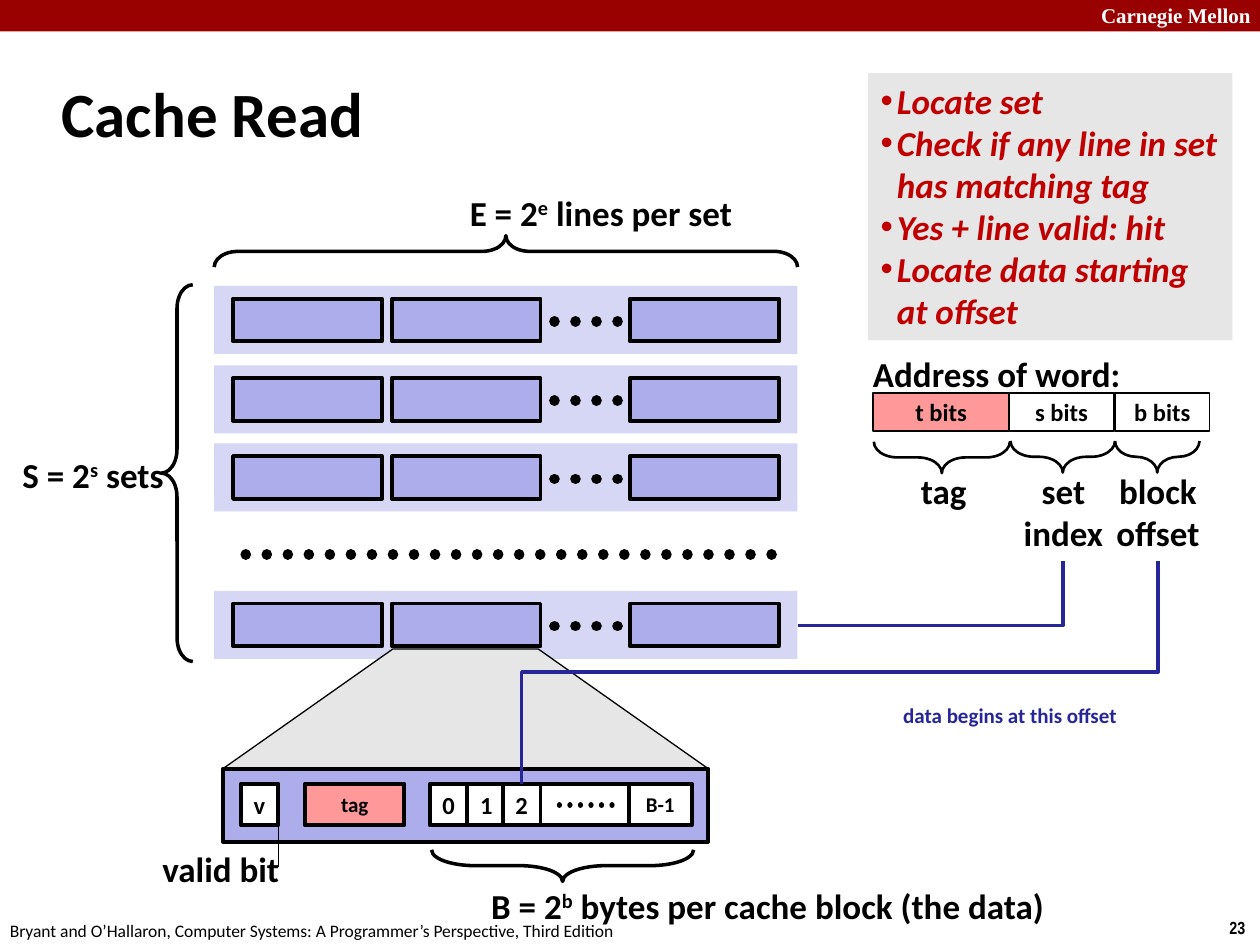
"""Build the Cache Read slide: cache organisation, address split and lookup steps."""
from dataclasses import dataclass

from lxml.etree import SubElement
from pptx import Presentation
from pptx.dml.color import RGBColor
from pptx.enum.dml import MSO_LINE
from pptx.enum.shapes import MSO_CONNECTOR, MSO_SHAPE
from pptx.enum.text import MSO_ANCHOR, MSO_AUTO_SIZE, PP_ALIGN
from pptx.oxml.ns import qn
from pptx.util import Inches, Pt

BLACK, WHITE, GREY = "000000", "FFFFFF", "E6E6E6"
CRIMSON, STEP_RED, PINK = "990000", "C00000", "FF9999"
SET_BLUE, LINE_BLUE, NAVY = "D6D6F5", "ADADEB", "262699"


@dataclass(frozen=True)
class Style:
    size: float = 20
    color: str = BLACK
    bold: bool = True
    italic: bool = False
    font: str = "Calibri"


@dataclass(frozen=True)
class Label:
    text: str
    left: float
    top: float
    width: float
    height: float = 0.44
    style: Style = Style()
    align: PP_ALIGN = PP_ALIGN.LEFT
    raised: str = ""
    rest: str = ""


@dataclass(frozen=True)
class Cell:
    text: str
    left: float
    width: float
    fill: str = WHITE
    size: float = 14


@dataclass(frozen=True)
class Brace:
    left: float
    top: float
    width: float
    height: float
    rotation: float
    weight: float = 2
    curl: float = 0.75


def rgb(value: str) -> RGBColor:
    return RGBColor.from_string(value)


def format_para(para, style: Style, align=PP_ALIGN.LEFT) -> None:
    para.alignment = align
    for span in para.runs:
        font = span.font
        font.name, font.size = style.font, Pt(style.size)
        font.bold, font.italic = style.bold, style.italic
        font.color.rgb = rgb(style.color)


def draw_shape(page, kind, left, top, width, height, fill="", weight=0.0):
    shape = page.shapes.add_shape(kind, Inches(left), Inches(top), Inches(width), Inches(height))
    shape.shadow.inherit = False
    if fill:
        shape.fill.solid()
        shape.fill.fore_color.rgb = rgb(fill)
    else:
        shape.fill.background()
    if weight:
        shape.line.color.rgb = rgb(BLACK)
        shape.line.width = Pt(weight)
    else:
        shape.line.fill.background()
    return shape


def draw_box(page, left, top, width, height, fill="", weight=0.0):
    return draw_shape(page, MSO_SHAPE.RECTANGLE, left, top, width, height, fill, weight)


def draw_cell(page, cell: Cell, top: float, height: float, weight: float) -> None:
    box = draw_box(page, cell.left, top, cell.width, height, cell.fill, weight)
    frame = box.text_frame
    frame.word_wrap = False
    frame.vertical_anchor = MSO_ANCHOR.MIDDLE
    frame.text = cell.text
    format_para(frame.paragraphs[0], Style(cell.size), PP_ALIGN.CENTER)


def draw_label(page, label: Label):
    box = page.shapes.add_textbox(
        Inches(label.left), Inches(label.top), Inches(label.width), Inches(label.height))
    frame = box.text_frame
    frame.word_wrap = False
    frame.auto_size = MSO_AUTO_SIZE.SHAPE_TO_FIT_TEXT
    frame.text = label.text
    if label.raised:
        para = frame.paragraphs[0]
        exponent = para.add_run()
        exponent.text = label.raised
        exponent.font._element.set("baseline", "30000")
        para.add_run().text = label.rest
    for para in frame.paragraphs:
        format_para(para, label.style, label.align)
    return frame


def draw_brace(page, brace: Brace) -> None:
    shape = draw_shape(page, MSO_SHAPE.LEFT_BRACE, brace.left, brace.top,
                       brace.width, brace.height, weight=brace.weight)
    shape.adjustments[0] = brace.curl
    shape.rotation = brace.rotation


def draw_line(page, start, end, weight, color=BLACK, kind=MSO_CONNECTOR.STRAIGHT):
    line = page.shapes.add_connector(kind, *map(Inches, (*start, *end)))
    line.line.color.rgb = rgb(color)
    line.line.width = Pt(weight)
    SubElement(line._element.spPr, qn("a:effectLst"))
    return line


def draw_dots(page, left: float, right: float, top: float, weight: float) -> None:
    dots = draw_line(page, (left, top), (right, top), weight)
    dots.line.dash_style = MSO_LINE.ROUND_DOT
    dots._element.spPr.find(qn("a:ln")).set("cap", "rnd")


def draw_elbow(page, left, top, width, height, preset: str) -> None:
    elbow = draw_line(page, (left, top), (left + width, top + height), 2, NAVY, MSO_CONNECTOR.ELBOW)
    properties = elbow._element.spPr
    properties.find(qn("a:xfrm")).set("rot", "5400000")
    properties.find(qn("a:prstGeom")).set("prst", preset)


def draw_set(page, top: float) -> None:
    draw_box(page, 1.7, top, 4.63, 0.54, SET_BLUE)
    for left in (1.85, 3.11, 5):
        draw_box(page, left, top + 0.1, 1.18, 0.34, LINE_BLUE, 2.25)
    draw_dots(page, 4.4, 5.01, top + 0.28, 6)


def draw_steps(page) -> None:
    frame = draw_box(page, 6.89, 0.58, 2.89, 2.12, GREY).text_frame
    frame.word_wrap = False
    frame.vertical_anchor = MSO_ANCHOR.TOP
    frame.text = "\n".join(("Locate set", "Check if any line in set\vhas matching tag",
                            "Yes + line valid: hit", "Locate data starting\vat offset"))
    for para in frame.paragraphs:
        properties = para._p.get_or_add_pPr()
        properties.set("marL", str(Inches(0.13)))
        properties.set("indent", str(Inches(-0.13)))
        SubElement(properties, qn("a:buFont"), typeface="Arial")
        SubElement(properties, qn("a:buChar"), char="•")
        format_para(para, Style(color=STEP_RED, italic=True))


def draw_block(page) -> None:
    funnel = draw_shape(page, MSO_SHAPE.TRAPEZOID, 1.77, 5.15, 3.85, 0.95, GREY, 0.75)
    funnel.adjustments[0] = 1.42
    draw_box(page, 1.77, 6.1, 3.85, 0.58, LINE_BLUE, 2.25)
    for cell in (Cell("0", 3.41, 0.3), Cell("1", 3.71, 0.3), Cell("2", 3.99, 0.3),
                 Cell("B-1", 4.99, 0.5, size=12), Cell("tag", 2.42, 0.79, PINK, 12),
                 Cell("v", 1.91, 0.3)):
        draw_cell(page, cell, 6.22, 0.33, 2.25)
    draw_box(page, 4.29, 6.22, 0.7, 0.33, WHITE, 2.25)
    draw_dots(page, 4.44, 4.94, 6.39, 3)
    draw_line(page, (2.21, 6.88), (2.21, 6.55), 0.75)


def main() -> None:
    deck = Presentation()
    deck.slide_width, deck.slide_height = Inches(10), Inches(7.5)
    page = deck.slides.add_slide(deck.slide_layouts[6])
    draw_box(page, 0, 0, 10, 0.25, CRIMSON)
    title = draw_label(page, Label("Cache Read", 0.39, 0.48, 8.3, 0.83, Style(36)))
    title.auto_size = MSO_AUTO_SIZE.NONE
    title.word_wrap = True
    title.vertical_anchor = MSO_ANCHOR.MIDDLE
    for top in (2.27, 2.9, 3.52, 4.69):
        draw_set(page, top)
    draw_dots(page, 1.95, 6.19, 4.4, 6)
    draw_block(page)
    for cell in (Cell("t bits", 6.93, 1.08, PINK), Cell("s bits", 8.01, 0.83),
                 Cell("b bits", 8.85, 0.75)):
        draw_cell(page, cell, 3.12, 0.3, 1)
    for brace in (Brace(3.89, -0.32, 0.25, 4.63, 90), Brace(1.28, 2.26, 0.25, 2.99, 0),
                  Brace(4.34, 5.83, 0.25, 2.08, 270, curl=1.37),
                  Brace(7.35, 3.09, 0.25, 1.08, 270, 1.5),
                  Brace(8.31, 3.21, 0.25, 0.83, 270, 1.5),
                  Brace(9.06, 3.29, 0.25, 0.67, 270, 1.5)):
        draw_brace(page, brace)
    for label in (
        Label("Carnegie Mellon", 8.64, -0.03, 1.43, 0.3, Style(12, WHITE, font="Times New Roman")),
        Label("23", 9.66, 7.23, 0.34, 0.27, Style(10, font="Arial Narrow")),
        Label("Bryant and O’Hallaron, Computer Systems: A Programmer’s Perspective, Third Edition",
              -0.02, 7.25, 5.08, 0.27, Style(10, bold=False)),
        Label("E = 2", 3.63, 1.47, 2.31, raised="e", rest=" lines per set"),
        Label("S = 2", 0.08, 3.55, 1.34, raised="s", rest=" sets"),
        Label("B = 2", 3.8, 6.97, 4.64, raised="b", rest=" bytes per cache block (the data)"),
        Label("valid bit", 1.19, 6.68, 1.14),
        Label("Address of word:", 6.83, 2.75, 2.18),
        Label("tag", 7.21, 3.68, 0.57),
        Label("set\nindex", 8.02, 3.68, 0.84, 0.77, align=PP_ALIGN.CENTER),
        Label("block\noffset", 8.75, 3.68, 0.88, 0.77, align=PP_ALIGN.CENTER),
        Label("data begins at this offset", 7.07, 5.53, 1.92, 0.3, Style(12, NAVY)),
    ):
        draw_label(page, label)
    draw_elbow(page, 7.13, 3.66, 0.51, 2.1, "bentConnector2")
    draw_elbow(page, 5.78, 2.81, 1.77, 5.05, "bentConnector3")
    draw_steps(page)
    deck.save("out.pptx")


if __name__ == "__main__":
    main()
